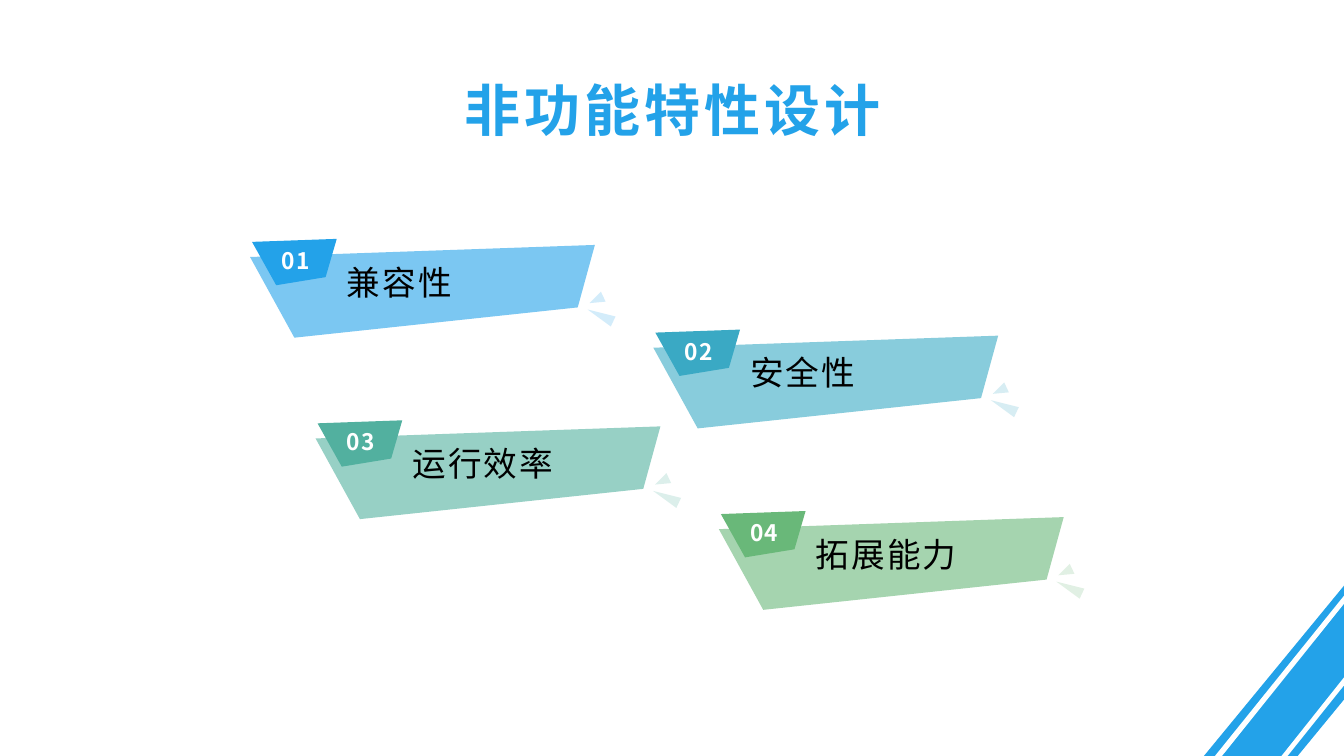
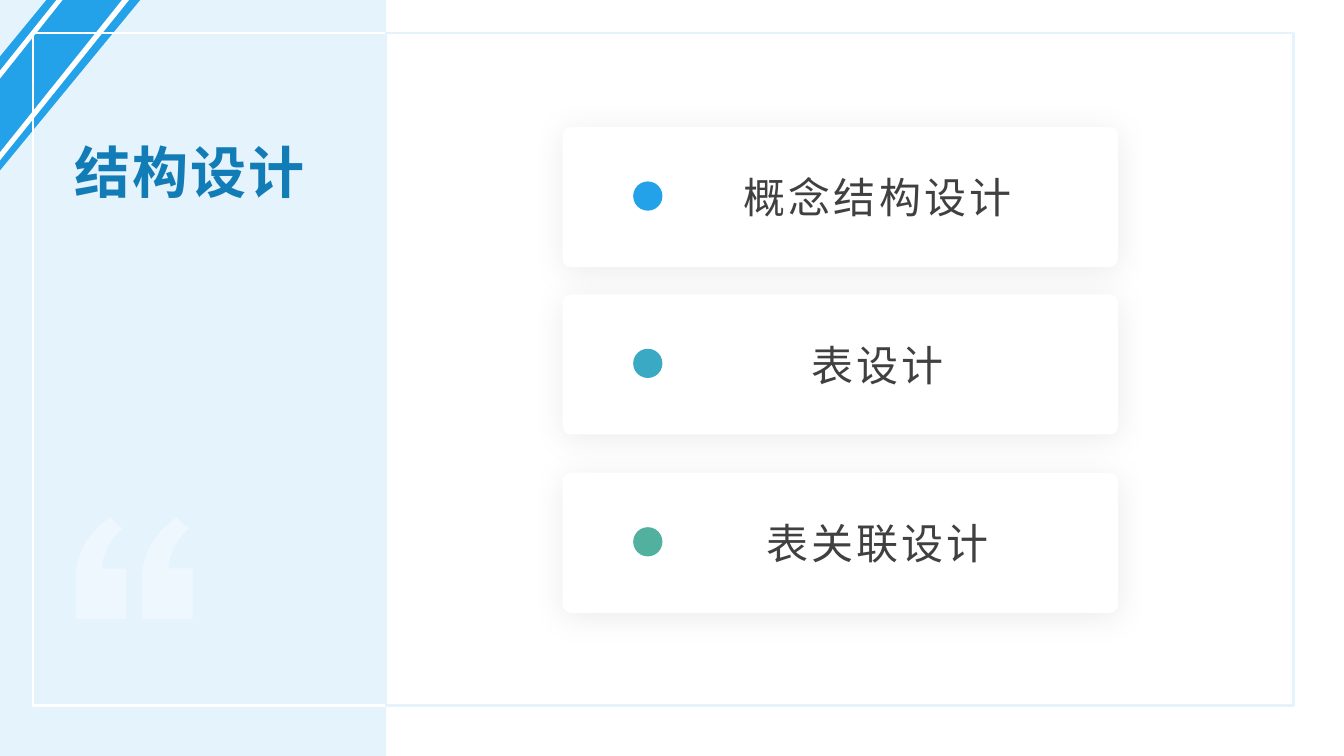
from lxml import etree
from pptx import Presentation
from pptx.dml.color import RGBColor
from pptx.enum.shapes import MSO_SHAPE
from pptx.enum.text import MSO_ANCHOR, MSO_AUTO_SIZE, PP_ALIGN
from pptx.oxml.ns import qn
from pptx.util import Inches, Pt

RECTANGLE, ROUNDED = MSO_SHAPE.RECTANGLE, MSO_SHAPE.ROUNDED_RECTANGLE
OVAL, TRIANGLE = MSO_SHAPE.OVAL, MSO_SHAPE.ISOSCELES_TRIANGLE
TOP, MIDDLE = MSO_ANCHOR.TOP, MSO_ANCHOR.MIDDLE
LEFT, CENTER = PP_ALIGN.LEFT, PP_ALIGN.CENTER
NO_AUTOFIT = MSO_AUTO_SIZE.NONE
TITLE_ONLY = 5

WIDTH, HEIGHT = 13.33, 7.5
FONT = "Noto Sans CJK SC"
WHITE, BLACK, GREY = "FFFFFF", "000000", "404040"
BLUE, TEAL, SEA, GREEN = "23A2E9", "3AA9C4", "52B09F", "69B879"
DARK_BLUE, PALE_BLUE = "127CB7", "E4F3FC"

STRIPES = [
    (BLUE, [(13.33, 5.81), (13.33, 6.94), (12.87, 7.5), (11.94, 7.5)]),
    (WHITE, [(13.33, 5.91), (13.33, 5.99), (12.12, 7.5), (12.05, 7.5)]),
    (WHITE, [(13.33, 6.72), (13.33, 6.8), (12.77, 7.5), (12.71, 7.5)]),
]
BANNER = [(3.42, 0), (3.25, 0.62), (0.44, 0.92), (0, 0.12)]
BADGE = [(0.86, -0.06), (0.75, 0.32), (0.26, 0.4), (0.02, -0.03)]
FEATURES = [
    ("兼容性", BLUE, "7BC7F2"),
    ("安全性", TEAL, "88CCDC"),
    ("运行效率", SEA, "97D0C5"),
    ("拓展能力", GREEN, "A5D4AF"),
]
CARDS = [
    (1.26, "概念结构设计", BLUE),
    (2.92, "表设计", TEAL),
    (4.69, "表关联设计", SEA),
]


def rgb(value):
    return RGBColor.from_string(value)


def paint(shape, fill=None, line=None, alpha=None):
    """Set fill, outline and opacity (percent), without the theme shadow."""
    shape.shadow.inherit = False
    if fill:
        shape.fill.solid()
        shape.fill.fore_color.rgb = rgb(fill)
    else:
        shape.fill.background()
    if alpha is not None:
        color = shape.fill._xPr.find(qn("a:solidFill"))[0]
        etree.SubElement(color, qn("a:alpha"), val=str(alpha * 1000))
    if line:
        shape.line.color.rgb = rgb(line)
        shape.line.width = Pt(1.5)
    else:
        shape.line.fill.background()


def add_preset(page, kind, left, top, width, height, rotation=0, **look):
    shape = page.shapes.add_shape(
        kind, Inches(left), Inches(top), Inches(width), Inches(height))
    shape.rotation = rotation
    paint(shape, **look)
    return shape


def add_polygon(shapes, points, left=0, top=0, **look):
    corners = [(Inches(left + x), Inches(top + y)) for x, y in points]
    builder = shapes.build_freeform(*corners[0], scale=1.0)
    builder.add_line_segments(corners[1:], close=True)
    paint(builder.convert_to_shape(), **look)


def curve(start, first, second, end, steps=12):
    """Points along a cubic Bezier curve."""
    points = []
    for step in range(steps + 1):
        t = step / steps
        weights = ((1 - t) ** 3, 3 * t * (1 - t) ** 2, 3 * t * t * (1 - t), t ** 3)
        points.append(tuple(
            sum(weight * value for weight, value in zip(weights, values))
            for values in zip(start, first, second, end)))
    return points


def write(shape, text, size, color, spacing, bold=False, align=LEFT,
          anchor=TOP, wrap=True, after=0, line_spacing=1.0):
    frame = shape.text_frame
    frame.auto_size = NO_AUTOFIT
    frame.word_wrap = wrap
    frame.vertical_anchor = anchor
    para = frame.paragraphs[0]
    para.alignment = align
    para.space_before, para.space_after = Pt(0), Pt(after)
    para.line_spacing = line_spacing
    span = para.add_run()
    span.text = text
    span.font.size = Pt(size)
    span.font.bold = bold
    span.font.name = FONT
    span.font.color.rgb = rgb(color)
    properties = span.font._element
    properties.set("spc", str(round(spacing * 100)))
    etree.SubElement(properties, qn("a:ea"), typeface=FONT)


def add_text(page, left, top, width, height, text, **style):
    box = page.shapes.add_textbox(
        Inches(left), Inches(top), Inches(width), Inches(height))
    write(box, text, after=8, **style)


def set_title(page, left, top, width, height, text, **style):
    """Place the title placeholder in front of what is already drawn."""
    title = page.shapes.title
    title.left, title.top = Inches(left), Inches(top)
    title.width, title.height = Inches(width), Inches(height)
    write(title, text, size=40, bold=True, **style)
    title._element.getparent().append(title._element)
    return title


def add_corner_stripes(page, at_top_left=False):
    group = page.shapes.add_group_shape()
    for color, points in STRIPES:
        if at_top_left:
            points = [(WIDTH - x, HEIGHT - y) for x, y in points]
        add_polygon(group.shapes, points, fill=color)


def add_feature(page, left, top, number, text, color, light):
    add_polygon(page.shapes, BANNER, left, top, fill=light)
    for x, y, height, rotation in [(3.42, 0.56, 0.28, 295.1), (3.38, 0.47, 0.15, 244.7)]:
        add_preset(page, TRIANGLE, left + x, top + y, 0.11, height,
                   rotation=rotation, fill=color, alpha=20)
    add_polygon(page.shapes, BADGE, left, top, fill=color)
    add_text(page, left + 0.21, top - 0.03, 0.48, 0.4, f"{number:02}", size=16.2,
             color=WHITE, spacing=1, bold=True, align=CENTER, wrap=False)
    add_text(page, left + 0.86, top + 0.1, 2.21, 0.53, text, size=24,
             color=BLACK, spacing=1.6, anchor=MIDDLE)


def add_soft_shadow(shape):
    effects = shape._element.spPr.find(qn("a:effectLst"))
    shadow = etree.SubElement(
        effects, qn("a:outerShdw"), blurRad=str(Pt(23)), dist=str(Pt(3)),
        dir="5400000", algn="t", rotWithShape="0")
    color = etree.SubElement(shadow, qn("a:srgbClr"), val=BLACK)
    etree.SubElement(color, qn("a:alpha"), val="8000")


def add_card(page, top, text, color):
    card = add_preset(page, ROUNDED, 5.58, top, 5.51, 1.39, fill=WHITE)
    card.adjustments[0] = 0.06
    add_soft_shadow(card)
    add_text(page, 6.96, top + 0.38, 3.49, 0.63, text, size=30, color=GREY,
             spacing=2.2, align=CENTER, anchor=MIDDLE)
    add_preset(page, OVAL, 6.28, top + 0.54, 0.29, 0.29, fill=color)


def add_quote_mark(page, left, top, alpha):
    outline = [(0.5, 1.01), (0, 1.01)]
    outline += curve((0, 0.57), (0.02, 0.19), (0.35, 0), (0.35, 0))
    outline += curve((0.37, 0.03), (0.39, 0.05), (0.42, 0.08), (0.45, 0.1))
    outline += curve((0.47, 0.11), (0.47, 0.11), (0.28, 0.25), (0.26, 0.51))
    outline.append((0.5, 0.51))
    add_polygon(page.shapes, outline, left, top, fill=WHITE, alpha=alpha)


def build_features(page):
    add_corner_stripes(page)
    for index, feature in enumerate(FEATURES):
        row, column = divmod(index, 2)
        add_feature(page, 2.48 + 4 * column + 0.65 * row, 2.43 + 0.9 * index,
                    index + 1, *feature)
    set_title(page, 2.42, 0.7, 8.5, 0.64, "非功能特性设计", color=BLUE,
              spacing=3, align=CENTER, anchor=MIDDLE, line_spacing=1.2)


def build_structure(page):
    add_preset(page, RECTANGLE, 0, 0, 3.83, HEIGHT, fill=PALE_BLUE)
    add_corner_stripes(page, at_top_left=True)
    add_preset(page, RECTANGLE, 0.33, 0.33, 3.5, 6.67, line=WHITE)
    add_preset(page, RECTANGLE, 3.83, 0.33, 9, 6.67, line=PALE_BLUE)
    add_quote_mark(page, 1.41, 5.13, alpha=36)
    add_quote_mark(page, 0.75, 5.13, alpha=34)
    title = set_title(page, 0.67, 1.33, 2.83, 1.5, "结构设计",
                      color=DARK_BLUE, spacing=1.6)
    frame = title.text_frame
    frame.margin_left = frame.margin_right = Inches(0.07)
    frame.margin_top = frame.margin_bottom = Inches(0.03)
    for card in CARDS:
        add_card(page, *card)


def main():
    deck = Presentation()
    deck.slide_width, deck.slide_height = Inches(WIDTH), Inches(HEIGHT)
    for build in (build_features, build_structure):
        build(deck.slides.add_slide(deck.slide_layouts[TITLE_ONLY]))
    deck.save("out.pptx")


if __name__ == "__main__":
    main()
